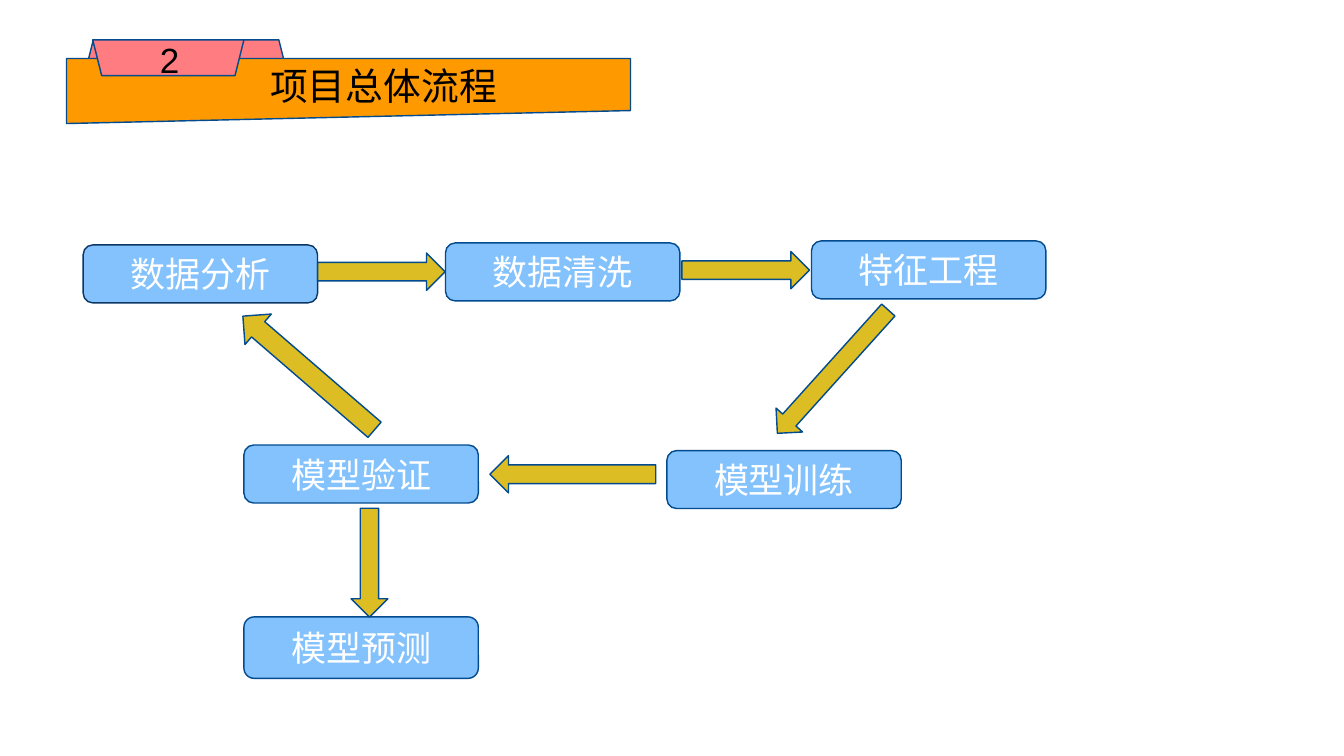
from pptx import Presentation, util as u
from pptx.dml.color import RGBColor
from pptx.enum import shapes, text
from pptx.oxml.ns import qn
from lxml import etree

HUES = {"tab": "FF7C80", "strip": "FF9900", "step": "83C2FD", "arrow": "DCBD23",
        "edge": "024B8E", "dark": "0B3663", "ink": "000000", "light": "FFFFFF"}
CJK = "Noto Sans CJK SC"
KIND = shapes.MSO_SHAPE

# Grid: 100 columns by 100 rows over the whole slide
COL = u.Inches(26.67) / 100
ROW = u.Inches(15) / 100


def place(box, part):
    """Turn a part (column, row, columns, rows) of a box into slide lengths."""
    x, y, w, h = part
    return [round(n) for n in ((box[0] + x) * COL, (box[1] + y) * ROW, w * COL, h * ROW)]


def hue(name):
    return RGBColor.from_string(HUES[name])


def draw(slide, box, kind, part, fill, turn=0, edge="edge"):
    shape = slide.shapes.add_shape(kind, *place(box, part))
    shape.rotation = turn
    shape.shadow.inherit = False
    shape.fill.solid()
    shape.fill.fore_color.rgb = hue(fill)
    shape.line.color.rgb = hue(edge)
    shape.line.width = u.Pt(2)
    return shape


def write(shape, words, size, color, face=CJK):
    frame = shape.text_frame
    frame.text = words
    frame.word_wrap = True
    frame.vertical_anchor = text.MSO_ANCHOR.MIDDLE
    para = frame.paragraphs[0]
    para.alignment = text.PP_ALIGN.CENTER
    font = para.runs[0].font
    font.size, font.name = u.Pt(size), face
    font.color.rgb = hue(color)
    # East Asian glyphs take their own typeface element
    mark = para.runs[0]._r.get_or_add_rPr()
    etree.SubElement(mark, qn("a:ea")).set("typeface", face)


def label(shape, words, size, face=CJK):
    frame = shape.text_frame
    frame.margin_left = frame.margin_right = u.Inches(0.06)
    frame.margin_top = frame.margin_bottom = u.Inches(0.06)
    write(shape, words, size, "ink", face)
    frame.auto_size = text.MSO_AUTO_SIZE.SHAPE_TO_FIT_TEXT


def banner(slide, box, number, words):
    # Folded tab around the strip
    draw(slide, box, KIND.TRAPEZOID, (1.13, 0, 15.53, 6.13), "tab")
    draw(slide, box, KIND.FLOWCHART_MANUAL_INPUT, (0, 2.47, 41.96, 8.6), "strip", 180)
    draw(slide, box, KIND.TRAPEZOID, (1.95, 0, 11.25, 4.73), "tab", 180)

    # Title, brought in front of the strip
    title = slide.shapes.title
    title.left, title.top, title.width, title.height = place(box, (13.95, 2.6, 19.28, 6.8))
    label(title, words, 54)
    slide.shapes.element.append(title.element)

    # Section number
    note = slide.shapes.add_textbox(*place(box, (5.85, -0.6, 3.64, 6.33)))
    label(note, number, 50, "Arial")


def flow(slide, box):
    wide, high = 17.44, 7.67
    steps = [("数据分析", 0, 0.53, high, "dark"),
             ("数据清洗", 26.96, 0.27, high, "edge"),
             ("特征工程", 54.19, 0, high, "edge"),
             ("模型训练", 43.43, 27.73, high, "edge"),
             ("模型验证", 11.96, 27, high, "edge"),
             ("模型预测", 11.96, 49.73, 8.13, "edge")]
    for words, x, y, tall, edge in steps:
        step = draw(slide, box, KIND.ROUNDED_RECTANGLE, (x, y, wide, tall), "step", edge=edge)
        write(step, words, 50, "light")

    # Arrows in the order of the process
    right, left = KIND.RIGHT_ARROW, KIND.LEFT_ARROW
    arrows = [(right, (wide, 1.6, 9.49, 4.93), 0),
              (right, (44.55, 1.4, 9.49, 4.93), 0),
              (left, (49.61, 14.93, 12.34, 4.73), 312),
              (left, (30.26, 28.4, 12.34, 4.93), 0),
              (left, (10.31, 14.8, 12.94, 5.33), 40.8),
              (right, (17.25, 40.13, 8.1, 4.87), 90)]
    for kind, part, turn in arrows:
        draw(slide, box, kind, part, "arrow", turn)


def main():
    deck = Presentation()
    deck.slide_width, deck.slide_height = u.Inches(26.67), u.Inches(15)
    slide = deck.slides.add_slide(deck.slide_layouts[5])
    banner(slide, (4.95, 5.27), "2", "项目总体流程")
    flow(slide, (6.19, 31.87))
    deck.save("out.pptx")


if __name__ == "__main__":
    main()
